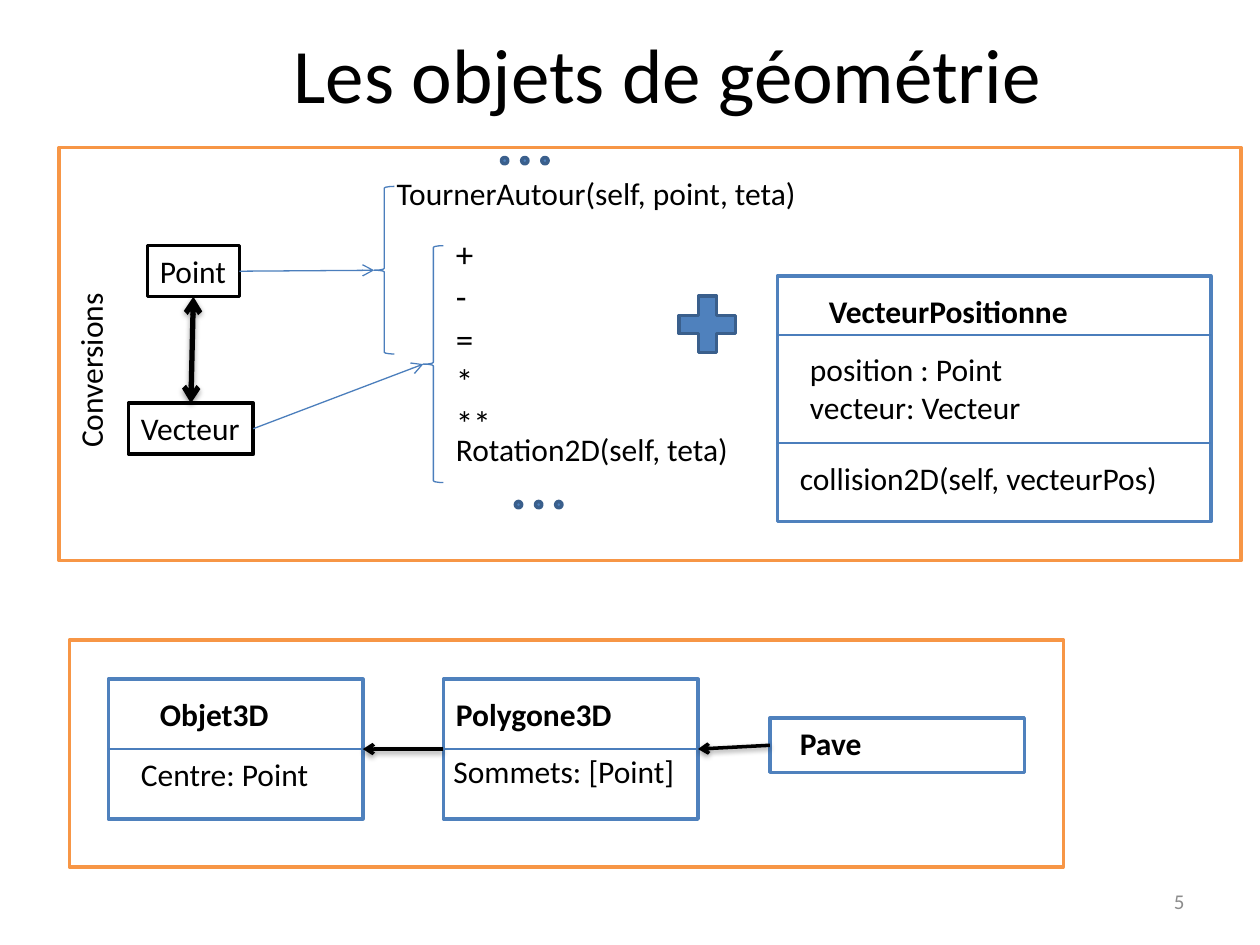
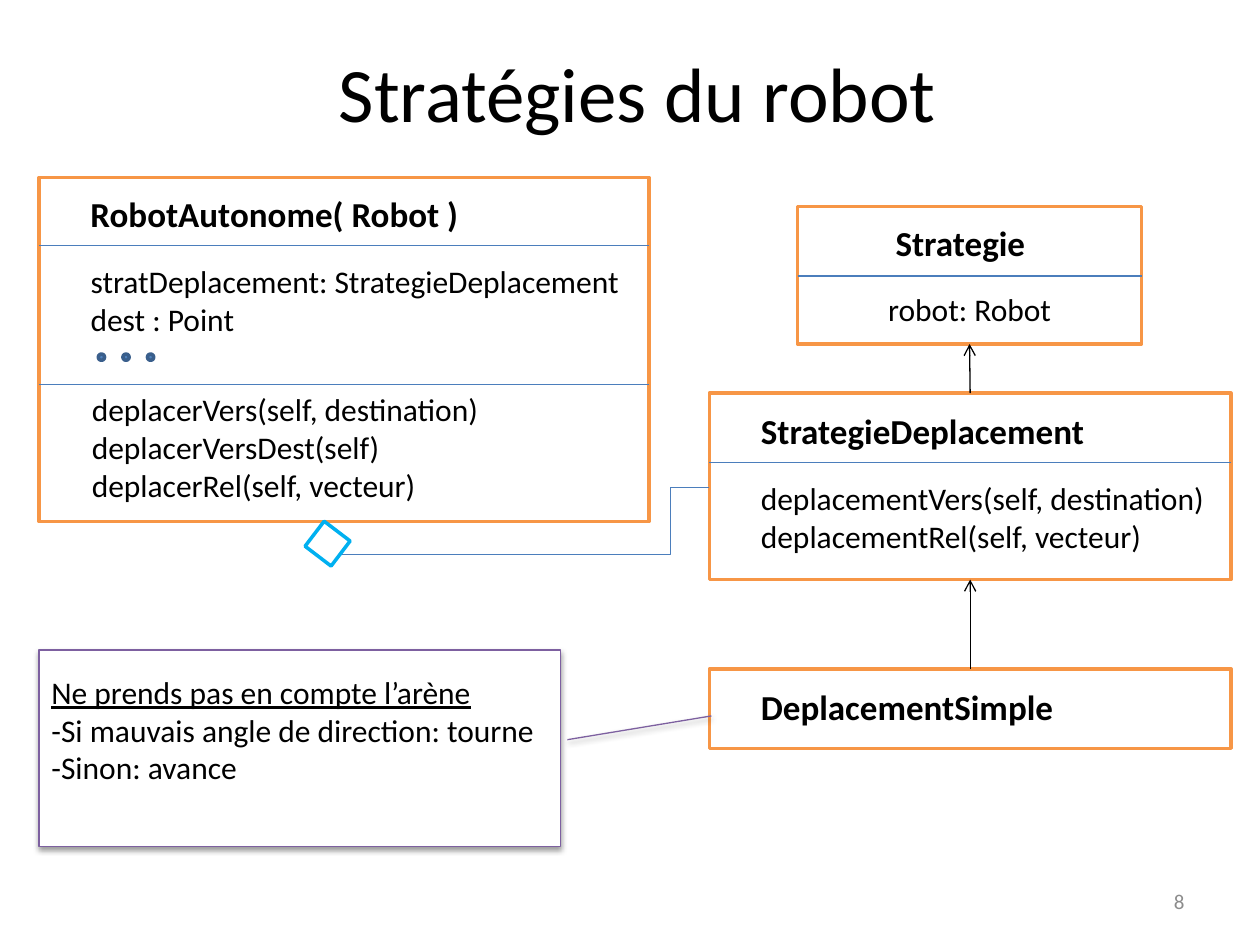
from pptx import Presentation
from pptx.dml.color import RGBColor
from pptx.enum.shapes import MSO_CONNECTOR as Wire, MSO_SHAPE as Form
from pptx.enum.text import MSO_ANCHOR as Anchor, MSO_AUTO_SIZE as Fit, PP_ALIGN as Align
from pptx.oxml import parse_xml
from pptx.oxml.ns import qn
from pptx.util import Inches, Pt
from lxml.etree import SubElement

BLACK = RGBColor(0x00, 0x00, 0x00)
WHITE = RGBColor(0xFF, 0xFF, 0xFF)
GREY = RGBColor(0x8C, 0x8C, 0x8C)
BLUE = RGBColor(0x4F, 0x81, 0xBD)
NAVY = RGBColor(0x3A, 0x5F, 0x8C)
STEEL = RGBColor(0x4B, 0x7E, 0xBC)
ORANGE = RGBColor(0xF7, 0x96, 0x46)
CYAN = RGBColor(0x00, 0xB0, 0xF0)
PURPLE = RGBColor(0x7D, 0x60, 0xA0)
FONT = "Calibri"
SHADE = (
    '<a:outerShdw xmlns:a="http://schemas.openxmlformats.org/drawingml/2006/main"'
    ' blurRad="40000" dist="20000" dir="5400000" rotWithShape="0">'
    '<a:srgbClr val="000000"><a:alpha val="38000"/></a:srgbClr></a:outerShdw>'
)


def put(page, text, x, y, w, h=None, form=None, fill=None, line=None, weight=2,
        size=18, bold=False, color=BLACK, align=Align.LEFT, anchor=Anchor.TOP,
        wrap=False, turn=0):
    """Add a text box, or a preset shape if form is given; h follows the lines."""
    rows = text.split("\n")
    grow = h is None
    if grow:
        h = 0.1 + len(rows) * size * 1.22 / 72
    area = [Inches(v) for v in (x, y, w, h)]
    if form is None:
        item = page.shapes.add_textbox(*area)
    else:
        item = page.shapes.add_shape(form, *area)
        item.shadow.inherit = False
        if fill is None:
            item.fill.background()
        else:
            item.fill.solid()
            item.fill.fore_color.rgb = fill
        item.line.color.rgb = line
        item.line.width = Pt(weight)
    item.rotation = turn
    if text:
        frame = item.text_frame
        frame.word_wrap = wrap
        frame.auto_size = Fit.SHAPE_TO_FIT_TEXT if grow else Fit.NONE
        frame.vertical_anchor = anchor
        frame.text = text
        for para in frame.paragraphs:
            para.alignment = align
            font = para.runs[0].font
            font.name, font.size, font.bold = FONT, Pt(size), bold
            font.color.rgb = color
    return item


def link(page, start, end, color=STEEL, weight=0.75, head=False, tail=False,
         shade=False, kind=Wire.STRAIGHT):
    """Draw a connector; each end is (x, y) in inches or (shape, site)."""
    wire = page.shapes.add_connector(kind, 0, 0, 0, 0)
    if isinstance(start[0], (int, float)):
        wire.begin_x, wire.begin_y = map(Inches, start)
    else:
        wire.begin_connect(*start)
    if isinstance(end[0], (int, float)):
        wire.end_x, wire.end_y = map(Inches, end)
    else:
        wire.end_connect(*end)
    wire.line.color.rgb = color
    wire.line.width = Pt(weight)
    pen = wire.line._get_or_add_ln()
    for shown, tag in ((head, "a:headEnd"), (tail, "a:tailEnd")):
        if shown:
            SubElement(pen, qn(tag)).set("type", "arrow")
    glow = SubElement(wire.element.spPr, qn("a:effectLst"))
    if shade:
        glow.append(parse_xml(SHADE))
    return wire


deck = Presentation()
deck.slide_width, deck.slide_height = Inches(10), Inches(7.5)
pages = []
for title, x, y, number in (("Les objets de géométrie", 1.8, 0.16, "5"),
                            ("Stratégies du robot", 1.56, 0.31, "8")):
    page = deck.slides.add_slide(deck.slide_layouts[6])
    put(page, title, x, y, 7, 1.92, size=44, align=Align.CENTER, wrap=True)
    put(page, number, 7.17, 6.95, 2.33, 0.4, size=12, color=GREY,
        align=Align.RIGHT, anchor=Anchor.MIDDLE, wrap=True)
    pages.append(page)
shapes, robots = pages

# Frames behind the geometry classes
for area in ((0.47, 1.17, 9.38, 3.28), (0.55, 5.08, 7.89, 1.8)):
    put(shapes, "", *area, form=Form.RECTANGLE, line=ORANGE)

# Class boxes: page, outline, area, dividers, then texts with x, y, width, size, bold
classes = (
    (shapes, BLUE, (6.17, 2.19, 3.44, 1.95), (2.66, 3.515), (
        ("VecteurPositionne", 6.48, 2.27, 2.19, 18, True),
        ("position : Point\nvecteur: Vecteur", 6.33, 2.73, 1.89, 18, False),
        ("collision2D(self, vecteurPos)", 6.25, 3.59, 3.13, 18, False))),
    (robots, ORANGE, (0.31, 1.41, 4.84, 2.73), (1.95, 3.05), (
        ("RobotAutonome( Robot )", 0.62, 1.48, 3.14, 20, True),
        ("stratDeplacement: StrategieDeplacement\ndest : Point",
         0.62, 2.03, 4.45, 18, False),
        ("deplacerVers(self, destination)\ndeplacerVersDest(self)\n"
         "deplacerRel(self, vecteur)", 0.63, 3.05, 3.31, 18, False))),
    (robots, ORANGE, (6.33, 1.64, 2.73, 1.09), (2.19,), (
        ("Strategie", 7.01, 1.71, 1.24, 20, True),
        ("robot: Robot", 6.95, 2.25, 1.51, 18, False))),
    (robots, ORANGE, (5.63, 3.12, 4.14, 1.48), (3.67,), (
        ("StrategieDeplacement", 5.94, 3.2, 2.79, 20, True),
        ("deplacementVers(self, destination)\ndeplacementRel(self, vecteur)",
         5.94, 3.75, 3.76, 18, False))),
    (robots, ORANGE, (5.63, 5.31, 4.14, 0.63), (), (
        ("DeplacementSimple", 5.94, 5.39, 2.54, 20, True),)),
)
boxes = {}
for page, color, area, cuts, texts in classes:
    boxes[texts[0][0]] = put(page, "", *area, form=Form.RECTANGLE, line=color)
    for cut in cuts:
        link(page, (area[0], cut), (area[0] + area[2], cut))
    for text, x, y, w, size, bold in texts:
        put(page, text, x, y, w, size=size, bold=bold)

# Point and Vecteur with their operations
point = put(shapes, "Point", 1.17, 1.95, 0.73, form=Form.RECTANGLE,
            fill=WHITE, line=BLACK)
vector = put(shapes, "Vecteur", 1.02, 3.2, 0.99, form=Form.RECTANGLE,
             fill=WHITE, line=BLACK)
for source, area in ((point, (2.97, 1.48, 0.16, 1.33)),
                     (vector, (3.36, 1.95, 0.16, 1.88))):
    brace = put(shapes, "", *area, form=Form.LEFT_BRACE, line=STEEL, weight=0.75)
    link(shapes, (source, 3), (brace, 1), tail=True)
link(shapes, (point, 2), (vector, 0), BLACK, 3, head=True, tail=True, shade=True)
put(shapes, "Conversions", 0, 2.73, 1.44, turn=270)
put(shapes, "TournerAutour(self, point, teta)", 3.05, 1.33, 3.41)
put(shapes, "+\n-\n=\n*\n**", 3.52, 1.8, 0.48, size=20)
put(shapes, "Rotation2D(self, teta)", 3.52, 3.36, 2.39)
put(shapes, "", 5.31, 2.27, 0.61, 0.61, form=Form.MATH_PLUS, fill=BLUE, line=NAVY)

# Solid classes, each derived from the one on its left
parent = None
for x, name, name_x, name_w, field, field_x, field_y, field_w in (
        (0.86, "Objet3D", 1.17, 1.11, "Centre: Point", 1.02, 5.94, 1.6),
        (3.52, "Polygone3D", 3.52, 1.77, "Sommets: [Point]", 3.5, 5.92, 2.04)):
    put(shapes, name, name_x, 5.47, name_w, bold=True, wrap=True)
    put(shapes, field, field_x, field_y, field_w, wrap=True)
    solid = put(shapes, "", x, 5.39, 2.02, 1.11, form=Form.RECTANGLE, line=BLUE)
    link(shapes, (solid, 1), (solid, 3))
    if parent:
        link(shapes, (solid, 1), (parent, 3), BLACK, 2, tail=True, shade=True)
    parent = solid
put(shapes, "Pave", 6.25, 5.7, 1.77, bold=True, wrap=True)
slab = put(shapes, "", 6.11, 5.7, 2.02, 0.43, form=Form.RECTANGLE, line=BLUE)
link(shapes, (slab, 1), (parent, 3), BLACK, 2, tail=True, shade=True)

# Dots standing for further members
for page, x, y, step in ((shapes, 3.98, 1.25, 0.16), (shapes, 4.09, 3.98, 0.16),
                         (robots, 0.78, 2.81, 0.195)):
    for i in range(3):
        put(page, "", x + i * step, y, 0.05, 0.05, form=Form.OVAL,
            fill=BLUE, line=NAVY)

# Strategy inheritance and the robot's use of it
base = boxes["Strategie"]
move = boxes["StrategieDeplacement"]
simple = boxes["DeplacementSimple"]
for child, parent in ((move, base), (simple, move)):
    link(robots, (child, 0), (parent, 2), BLACK, tail=True)
elbow = link(robots, (2.7, 4.4), (5.63, 3.87), kind=Wire.ELBOW)
guide = SubElement(elbow.element.spPr.prstGeom.get_or_add_avLst(), qn("a:gd"))
guide.set("name", "adj1")
guide.set("fmla", "val 89500")
put(robots, "", 2.47, 4.19, 0.26, 0.25, form=Form.RECTANGLE, fill=WHITE,
    line=CYAN, turn=37.3)

note = put(robots, "Ne prends pas en compte l’arène\n"
           "-Si mauvais angle de direction: tourne\n-Sinon: avance",
           0.31, 5.16, 4.14, 1.56, form=Form.LINE_CALLOUT_1, fill=WHITE,
           line=PURPLE, weight=0.75, anchor=Anchor.MIDDLE, wrap=True)
for i, value in enumerate((0.456, 1.013, 0.335, 1.289)):
    note.adjustments[i] = value
note.text_frame.margin_bottom = Inches(0.35)
note.text_frame.paragraphs[0].runs[0].font.underline = True
note.element.spPr.find(qn("a:effectLst")).append(parse_xml(SHADE))

deck.save("out.pptx")
